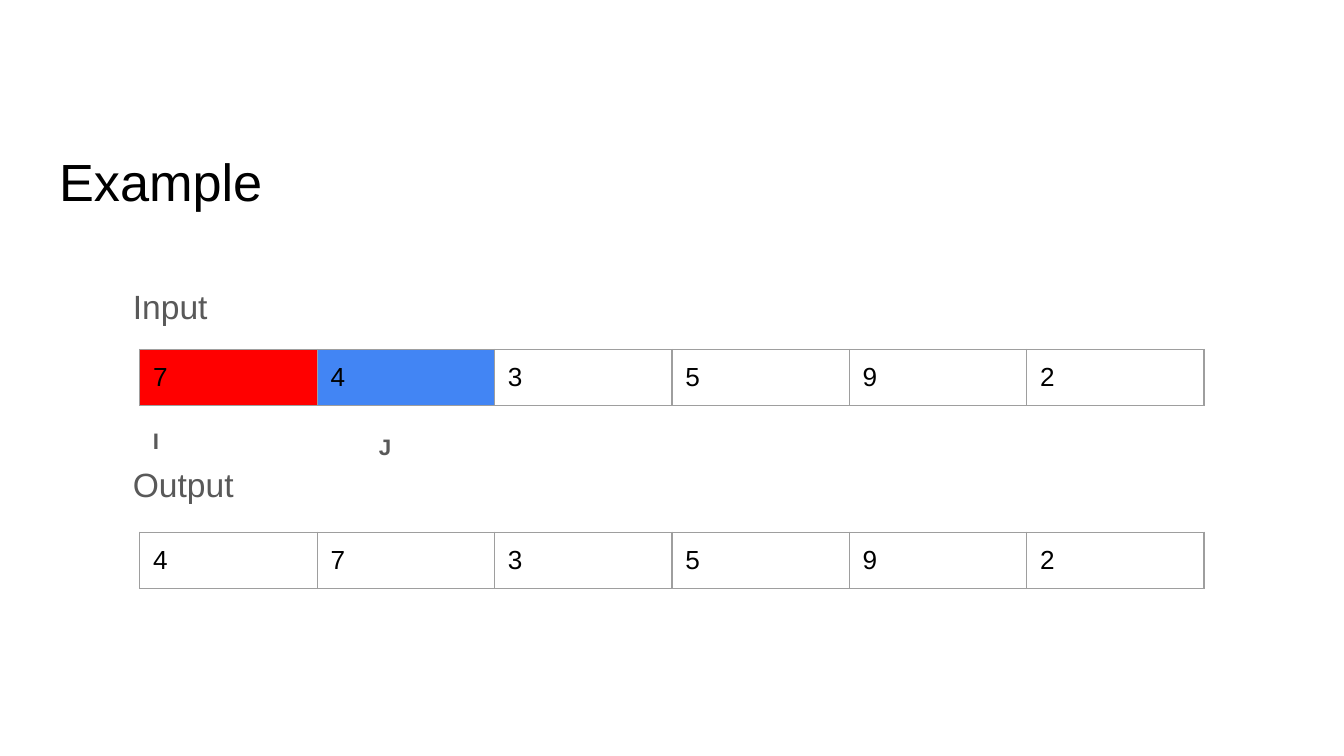
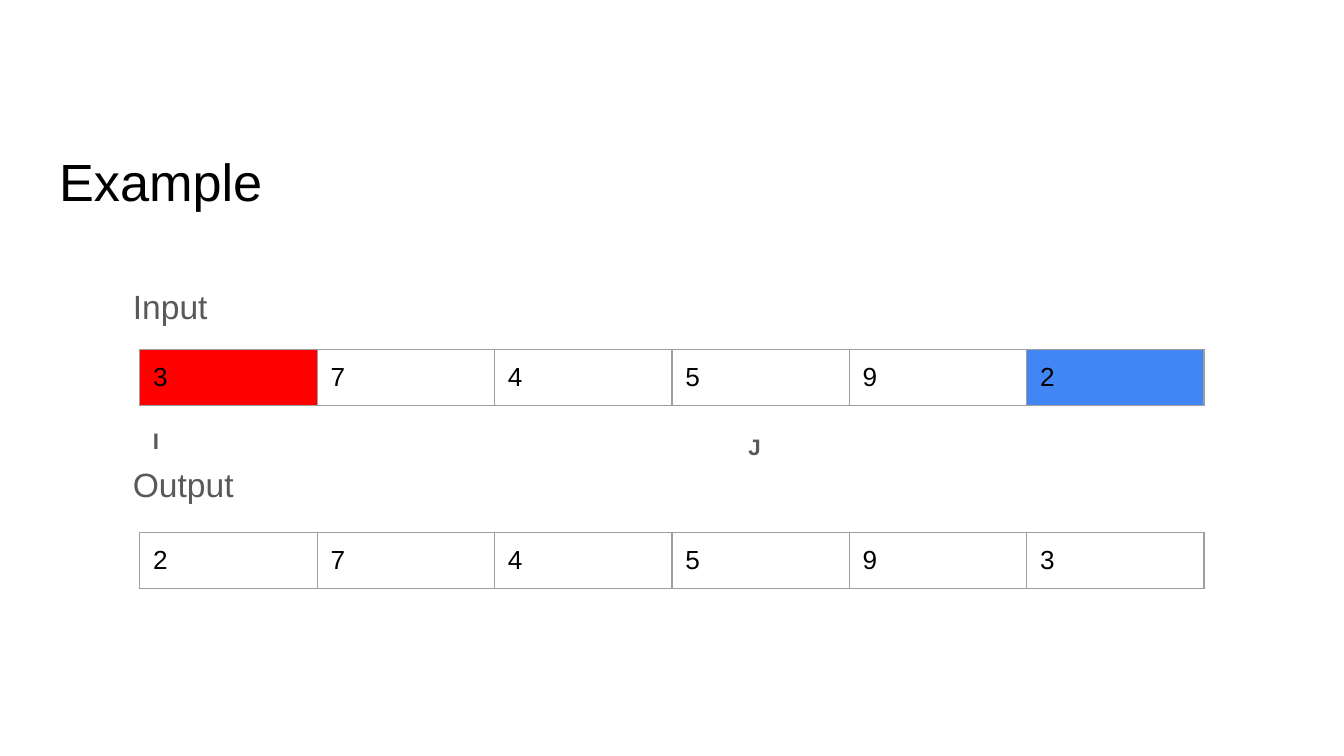
import pptx
import pptx.dml.color
import pptx.enum.text
import pptx.oxml
import pptx.oxml.ns
import pptx.util
from pptx.util import Inches

COLORS = {
    "black": "000000",
    "gray": "595959",
    "border": "9E9E9E",
    "white": "FFFFFF",
    "red": "FF0000",
    "blue": "4285F4",
}
FONT = "Arial"
INSET = Inches(0.1)
COLUMN_WIDTH = 1.32
ROW_HEIGHT = 0.42
FRAME_SIZE = 3.28
ARRAY_LEFT = 1.04
LABEL_LEFT = 0.89


def rgb(name):
    return pptx.dml.color.RGBColor.from_string(COLORS[name])


def write(frame, text, size=14, color="black", bold=False):
    """Put one formatted, left-aligned line into a text frame."""
    para = frame.paragraphs[0]
    para.alignment = pptx.enum.text.PP_ALIGN.LEFT
    span = para.add_run()
    span.text = text
    span.font.name = FONT
    span.font.size = pptx.util.Pt(size)
    span.font.bold = bold
    span.font.color.rgb = rgb(color)


def set_insets(holder):
    """Give a text frame or a table cell the common margins."""
    holder.margin_left = holder.margin_right = INSET
    holder.margin_top = holder.margin_bottom = INSET


def add_borders(cell):
    properties = cell._tc.get_or_add_tcPr()
    for side in ("lnL", "lnR", "lnT", "lnB"):
        properties.append(pptx.oxml.parse_xml(
            f'<a:{side} {pptx.oxml.ns.nsdecls("a")} w="{pptx.util.Pt(0.75)}">'
            f'<a:solidFill><a:srgbClr val="{COLORS["border"]}"/></a:solidFill>'
            f'</a:{side}>'))


class SwapDeck:
    def __init__(self):
        self.deck = pptx.Presentation()
        self.deck.slide_width = Inches(10)
        self.deck.slide_height = Inches(10) * 9 // 16
        self.slide = None

    def add_slide(self, title):
        self.slide = self.deck.slides.add_slide(self.deck.slide_layouts[0])
        background = self.slide.background.fill
        background.solid()
        background.fore_color.rgb = rgb("white")
        subtitle = self.slide.placeholders[1].element
        subtitle.getparent().remove(subtitle)

        box = self.slide.shapes.title
        box.left, box.top = Inches(0.34), Inches(0.81)
        box.width, box.height = Inches(9.32), Inches(0.87)
        frame = box.text_frame
        set_insets(frame)
        frame.auto_size = pptx.enum.text.MSO_AUTO_SIZE.NONE
        frame.vertical_anchor = pptx.enum.text.MSO_ANCHOR.BOTTOM
        write(frame, title, size=28)

    def add_text(self, text, left, top, width, height, grow=False, **style):
        box = self.slide.shapes.add_textbox(
            Inches(left), Inches(top), Inches(width), Inches(height))
        frame = box.text_frame
        frame.word_wrap = True
        sizing = pptx.enum.text.MSO_AUTO_SIZE
        frame.auto_size = sizing.SHAPE_TO_FIT_TEXT if grow else sizing.NONE
        set_insets(frame)
        write(frame, text, color="gray", **style)

    def add_label(self, text, top):
        self.add_text(text, LABEL_LEFT, top, 1.28, 0.43, size=18)

    def add_index(self, text, left, top, width):
        self.add_text(text, left, top, width, 0.4, grow=True, size=12, bold=True)

    def add_array(self, values, top, fills=None):
        """Draw a one-row table; fills maps a column to its colour name."""
        fills = fills or {}
        holder = self.slide.shapes.add_table(
            1, len(values), Inches(ARRAY_LEFT), Inches(top),
            Inches(FRAME_SIZE), Inches(FRAME_SIZE))
        table = holder.table
        table.first_row = table.horz_banding = False
        table.rows[0].height = Inches(ROW_HEIGHT)
        for column, value in enumerate(values):
            table.columns[column].width = Inches(COLUMN_WIDTH)
            cell = table.cell(0, column)
            set_insets(cell)
            write(cell.text_frame, str(value))
            add_borders(cell)
            cell.fill.solid()
            cell.fill.fore_color.rgb = rgb(fills.get(column, "white"))
        holder.width = holder.height = Inches(FRAME_SIZE)

    def add_swap(self, values, i, j, j_left):
        """Show an array before and after its items i and j change places."""
        swapped = list(values)
        swapped[i], swapped[j] = swapped[j], swapped[i]
        self.add_slide("Example")
        self.add_array(values, 2.6, {i: "red", j: "blue"})
        self.add_label("Input", 2.03)
        self.add_array(swapped, 3.96)
        self.add_label("Output", 3.35)
        self.add_index("I", ARRAY_LEFT, 3.08, 0.3)
        self.add_index("J", j_left, 3.12, 0.5)


def main():
    swaps = SwapDeck()
    swaps.add_swap([7, 4, 3, 5, 9, 2], i=0, j=1, j_left=2.72)
    swaps.add_swap([3, 7, 4, 5, 9, 2], i=0, j=5, j_left=5.47)
    swaps.deck.save("out.pptx")


if __name__ == "__main__":
    main()
